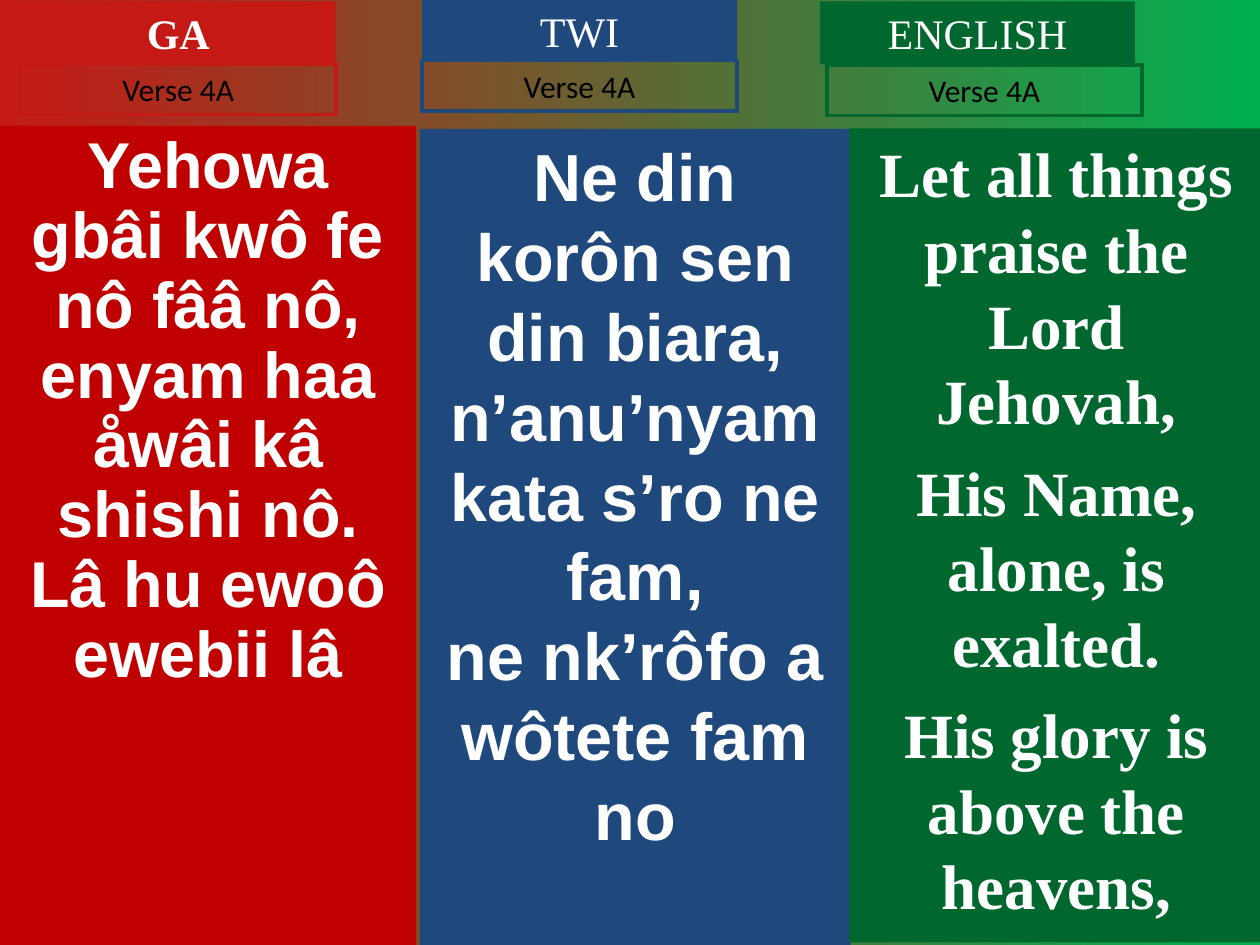
from lxml import etree
from pptx import Presentation
from pptx.dml.color import RGBColor
from pptx.enum.shapes import MSO_SHAPE
from pptx.enum.text import MSO_ANCHOR, PP_ALIGN
from pptx.oxml.ns import qn
from pptx.util import Cm, Pt

RECTANGLE = MSO_SHAPE.RECTANGLE
TOP = MSO_ANCHOR.TOP
CENTER = PP_ALIGN.CENTER

RED, BLUE, GREEN = "C51915", "1F497D", "00682F"
WHITE, BLACK = "FFFFFF", "000000"
SERIF = "Times New Roman"


def color(hex_string):
    return RGBColor.from_string(hex_string)


def add_panel(text, place, fill=None, line=None, font="Calibri", size=18,
              ink=WHITE, bold=False, spacing=1.0, before=0):
    """Add a rectangle at place (left, top, width, height in cm), one paragraph per line of text."""
    box = page.shapes.add_shape(RECTANGLE, *[Cm(length) for length in place])
    box.shadow.inherit = False
    if fill:
        box.fill.solid()
        box.fill.fore_color.rgb = color(fill)
    else:
        box.fill.background()
    if line:
        box.line.color.rgb = color(line)
        box.line.width = Pt(2.25)
        outline = box.element.spPr.find(qn("a:ln"))
        etree.SubElement(outline, qn("a:miter"), lim="800000")
    else:
        box.line.fill.background()

    frame = box.text_frame
    frame.word_wrap = True
    frame.vertical_anchor = TOP
    frame.margin_left = frame.margin_right = Cm(0.25)
    frame.margin_top = frame.margin_bottom = Cm(0.13)
    for number, words in enumerate(text.split("\n")):
        para = frame.add_paragraph() if number else frame.paragraphs[0]
        para.alignment = CENTER
        para.line_spacing = spacing
        para.space_before = Pt(before if number else 0)
        span = para.add_run()
        span.text = words
        span.font.name = font
        span.font.size = Pt(size)
        span.font.bold = bold
        span.font.color.rgb = color(ink)


deck = Presentation()
deck.slide_width, deck.slide_height = Cm(25.4), Cm(19.05)
page = deck.slides.add_slide(deck.slide_layouts[6])

backdrop = page.background.fill
backdrop.gradient()
backdrop.gradient_angle = 0
for stop, (position, shade) in zip(backdrop.gradient_stops, [(0, RED), (1, "00B050")]):
    stop.position = position
    stop.color.rgb = color(shade)

# Lyrics, one panel per language
lyrics = [
    ("Yehowa gbâi kwô fe nô fââ nô,\n"
     "enyam haa åwâi kâ shishi nô.\n"
     "Lâ hu ewoô ewebii lâ",
     (0, 2.54, 8.39, 16.51), "C00000", "Arial", 37, 0.9, 0),
    ("Ne din korôn sen din biara,\n"
     "n’anu’nyam kata s’ro ne fam,\n"
     "ne nk’rôfo a wôtete fam no",
     (8.46, 2.6, 8.69, 16.45), BLUE, "Arial", 38, 1.0, 0),
    ("Let all things praise the Lord Jehovah,\n"
     "His Name, alone, is exalted.\n"
     "His glory is above the heavens,",
     (17.12, 2.59, 8.35, 16.41), GREEN, SERIF, 36, 1.0, 9),
]
for text, place, fill, font, size, spacing, before in lyrics:
    add_panel(text, place, fill=fill, font=font, size=size, bold=True,
              spacing=spacing, before=before)

# Language title with its verse label below
headings = [
    ("GA", RED, True, 0.42, 0.03, 0.42, 1.29),
    ("TWI", BLUE, False, 8.51, -0.02, 8.51, 1.22),
    ("ENGLISH", GREEN, False, 16.53, 0.03, 16.67, 1.31),
]
for language, shade, bold, title_left, title_top, verse_left, verse_top in headings:
    add_panel(language, (title_left, title_top, 6.35, 1.27), fill=shade,
              font=SERIF, size=24, bold=bold)
    add_panel("Verse 4A", (verse_left, verse_top, 6.35, 1.02), line=shade, ink=BLACK)

deck.save("out.pptx")
